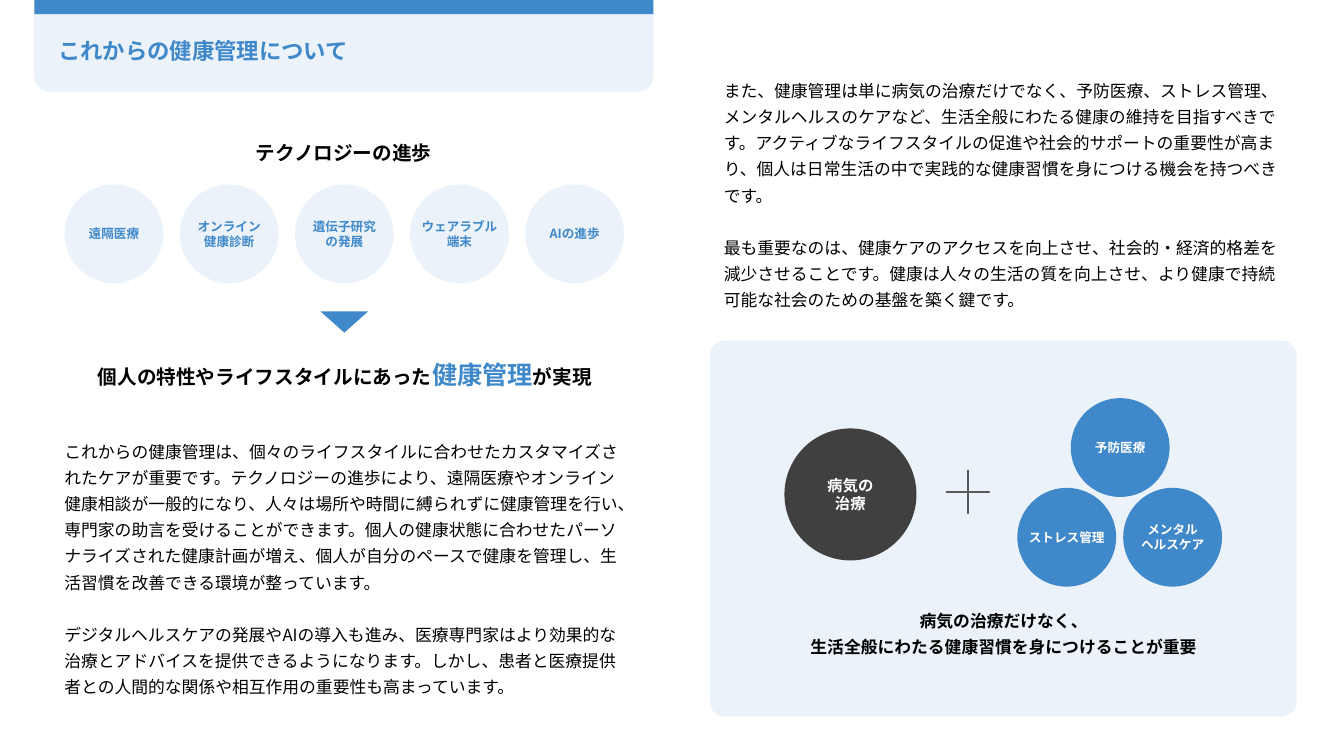
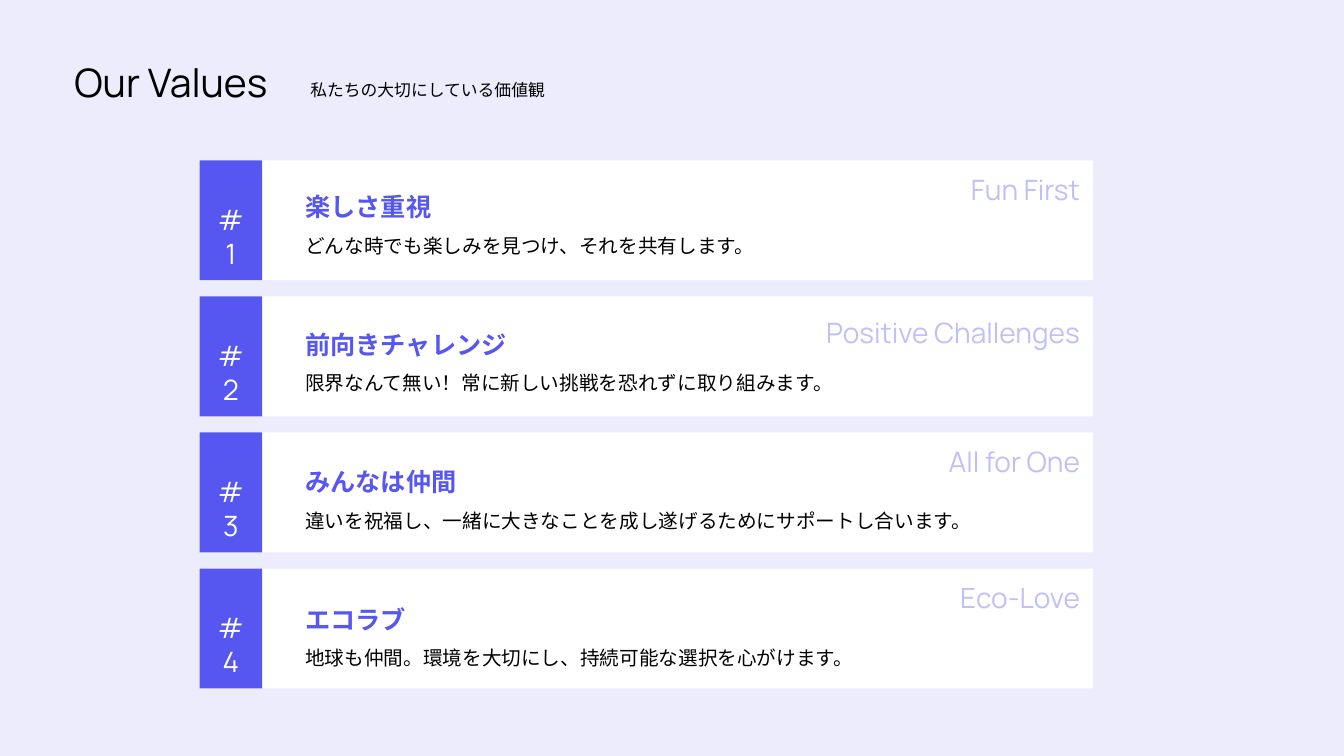
from dataclasses import dataclass

from lxml import etree
from pptx import Presentation
from pptx.dml.color import RGBColor
from pptx.enum import shapes, text
from pptx.oxml.ns import qn
from pptx.util import Inches, Pt

KIND = shapes.MSO_SHAPE
ALIGN = text.PP_ALIGN


@dataclass(frozen=True)
class Theme:
    blue: str = "3F88C9"
    violet: str = "5656F0"
    lavender: str = "ECECFD"
    dark: str = "404040"
    grey: str = "595959"
    black: str = "000000"
    white: str = "FFFFFF"
    tint: int = 10
    faint: int = 36
    japanese: str = "Noto Sans CJK JP"
    karla: str = "Karla"
    manrope: str = "Manrope"
    tiny: int = 9
    small: int = 11
    body: int = 12
    lead: int = 14
    title: int = 16
    heading: int = 18
    label: int = 20
    display: int = 28
    loose: float = 1.3


T = Theme()


def set_alpha(colors, percent):
    for color in colors:
        alpha = etree.SubElement(color, qn("a:alpha"))
        alpha.set("val", str(percent * 1000))


def add_run(p, content, size=T.body, color=T.black, font=T.japanese, bold=False):
    r = p.add_run()
    r.text = content
    r.font.size = Pt(size)
    r.font.bold = bold
    r.font.color.rgb = RGBColor.from_string(color)
    r.font.name = font
    ea = etree.SubElement(r.font._element, qn("a:ea"))
    ea.set("typeface", T.japanese)


def write(tf, content, align=ALIGN.LEFT, spacing=None, gap=0, **style):
    for i, line in enumerate(content.split("\n")):
        p = tf.add_paragraph() if i else tf.paragraphs[0]
        p.alignment = align
        if spacing:
            p.line_spacing = spacing
        if i and gap:
            p.space_before = Pt(gap)
        add_run(p, line, **style)
    return p


def add_text(slide, box, content, alpha=None, **style):
    sp = slide.shapes.add_textbox(*map(Inches, box))
    sp.text_frame.word_wrap = True
    p = write(sp.text_frame, content, **style)
    if alpha:
        set_alpha(sp.element.xpath(".//a:rPr//a:srgbClr"), alpha)
    return p


def add_shape(slide, kind, box, fill, alpha=None, adjustments=()):
    sp = slide.shapes.add_shape(kind, *map(Inches, box))
    sp.shadow.inherit = False
    sp.fill.solid()
    sp.fill.fore_color.rgb = RGBColor.from_string(fill)
    sp.line.fill.background()
    for i, value in enumerate(adjustments):
        sp.adjustments[i] = value
    if alpha:
        set_alpha(sp.element.spPr.xpath("./a:solidFill/a:srgbClr"), alpha)
    return sp


def add_circle(slide, left, top, content, fill=T.blue, alpha=None,
               diameter=0.98, size=T.tiny, color=T.white):
    sp = add_shape(slide, KIND.OVAL, (left, top, diameter, diameter), fill, alpha)
    tf = sp.text_frame
    tf.word_wrap = False
    tf.vertical_anchor = text.MSO_ANCHOR.MIDDLE
    write(tf, content, ALIGN.CENTER, size=size, color=color, bold=True)


def new_slide(prs, background):
    slide = prs.slides.add_slide(prs.slide_layouts[6])
    slide.background.fill.solid()
    slide.background.fill.fore_color.rgb = RGBColor.from_string(background)
    return slide


def add_essay(slide, box, content):
    add_text(slide, box, content, spacing=T.loose, gap=18.7)


def add_header(slide, title):
    left, width = 0.34, 6.14
    add_shape(slide, KIND.ROUND_2_SAME_RECTANGLE, (left, 0, width, 0.91),
              T.blue, T.tint, (0, 0.17))
    add_text(slide, (0.48, 0.32, 4.93, 0.37), title,
             size=T.title, color=T.blue, bold=True)
    add_shape(slide, KIND.RECTANGLE, (left, 0, width, 0.14), T.blue)


def add_technologies(slide):
    centered = dict(align=ALIGN.CENTER, spacing=T.loose, size=T.lead, bold=True)
    add_text(slide, (2.17, 1.28, 2.48, 0.38), "テクノロジーの進歩", **centered)
    names = ["遠隔医療", "オンライン\n健康診断", "遺伝子研究\nの発展",
             "ウェアラブル\n端末", "AIの進歩"]
    pitch = (5.21 - 0.64) / (len(names) - 1)
    for i, name in enumerate(names):
        add_circle(slide, 0.64 + i * pitch, 1.83, name, alpha=T.tint, color=T.blue)
    arrow = add_shape(slide, KIND.ISOSCELES_TRIANGLE, (3.18, 3.09, 0.47, 0.21), T.blue)
    arrow.rotation = 180
    p = add_text(slide, (0.77, 3.43, 5.3, 0.46),
                 "個人の特性やライフスタイルにあった", **centered)
    add_run(p, "健康管理", size=T.heading, color=T.blue, bold=True)
    add_run(p, "が実現", size=T.lead, bold=True)


def add_care_panel(slide):
    add_shape(slide, KIND.ROUNDED_RECTANGLE, (7.04, 3.38, 5.82, 3.73),
              T.blue, T.tint, (0.04,))
    for left, top, name in [(10.62, 3.95, "予防医療"),
                            (10.09, 4.84, "ストレス管理"),
                            (11.14, 4.84, "メンタル\nヘルスケア")]:
        add_circle(slide, left, top, name)
    add_circle(slide, 7.78, 4.25, "病気の\n治療", T.dark, diameter=1.31, size=T.small)
    plus = add_shape(slide, KIND.MATH_PLUS, (9.31, 4.59, 0.58, 0.58),
                     T.grey, adjustments=(0,))
    plus.line.color.rgb = RGBColor.from_string(T.grey)
    plus.line.width = Pt(1)
    add_text(slide, (7.83, 5.95, 4.25, 0.6),
             "病気の治療だけなく、\n生活全般にわたる健康習慣を身につけることが重要",
             align=ALIGN.CENTER, spacing=T.loose, bold=True)


def build_health(prs):
    slide = new_slide(prs, T.white)
    add_header(slide, "これからの健康管理について")
    add_technologies(slide)
    add_essay(slide, (0.54, 4.27, 5.75, 2.96),
              "これからの健康管理は、個々のライフスタイルに合わせたカスタマイズされたケアが重要です。"
              "テクノロジーの進歩により、遠隔医療やオンライン健康相談が一般的になり、"
              "人々は場所や時間に縛られずに健康管理を行い、専門家の助言を受けることができます。"
              "個人の健康状態に合わせたパーソナライズされた健康計画が増え、"
              "個人が自分のペースで健康を管理し、生活習慣を改善できる環境が整っています。\n"
              "デジタルヘルスケアの発展やAIの導入も進み、"
              "医療専門家はより効果的な治療とアドバイスを提供できるようになります。"
              "しかし、患者と医療提供者との人間的な関係や相互作用の重要性も高まっています。")
    add_essay(slide, (7.08, 0.69, 5.75, 2.44),
              "また、健康管理は単に病気の治療だけでなく、予防医療、ストレス管理、"
              "メンタルヘルスのケアなど、生活全般にわたる健康の維持を目指すべきです。"
              "アクティブなライフスタイルの促進や社会的サポートの重要性が高まり、"
              "個人は日常生活の中で実践的な健康習慣を身につける機会を持つべきです。\n"
              "最も重要なのは、健康ケアのアクセスを向上させ、社会的・経済的格差を減少させることです。"
              "健康は人々の生活の質を向上させ、より健康で持続可能な社会のための基盤を築く鍵です。")
    add_care_panel(slide)


def add_value(slide, i, name, detail, english, spacing=None):
    top = 1.59 + 1.35 * i
    text_top = 1.85 + 1.365 * i
    add_shape(slide, KIND.RECTANGLE, (1.98, top, 8.86, 1.19), T.white)
    add_shape(slide, KIND.RECTANGLE, (1.98, top, 0.62, 1.19), T.violet)
    add_text(slide, (2.04, top + 0.37, 0.5, 0.44), f"#{i + 1}", align=ALIGN.CENTER,
             size=T.label, color=T.white, font=T.manrope)
    add_text(slide, (2.93, text_top, 5.44, 0.4), name,
             size=T.heading, color=T.violet, font=T.karla, bold=True)
    add_text(slide, (2.93, text_top + 0.3, 8.03, 0.42), detail,
             spacing=1.5, size=T.lead, font=T.karla)
    add_text(slide, (8.02, top + 0.07, 2.79, 0.44), english, alpha=T.faint,
             align=ALIGN.RIGHT, spacing=spacing, size=T.label,
             color=T.violet, font=T.manrope)


def build_values(prs):
    slide = new_slide(prs, T.lavender)
    add_text(slide, (0.64, 0.53, 2.34, 0.57), "Our Values",
             size=T.display, font=T.manrope)
    add_text(slide, (2.98, 0.74, 4.2, 0.3), "私たちの大切にしている価値観", font=T.karla)
    values = [
        ("楽しさ重視", "どんな時でも楽しみを見つけ、それを共有します。", "Fun First"),
        ("前向きチャレンジ", "限界なんて無い！常に新しい挑戦を恐れずに取り組みます。",
         "Positive Challenges", 1.2),
        ("みんなは仲間", "違いを祝福し、一緒に大きなことを成し遂げるためにサポートし合います。",
         "All for One"),
        ("エコラブ", "地球も仲間。環境を大切にし、持続可能な選択を心がけます。", "Eco-Love"),
    ]
    for i, value in enumerate(values):
        add_value(slide, i, *value)


def main():
    prs = Presentation()
    prs.slide_width = Inches(13.33)
    prs.slide_height = Inches(7.5)
    build_health(prs)
    build_values(prs)
    prs.save("out.pptx")


if __name__ == "__main__":
    main()
